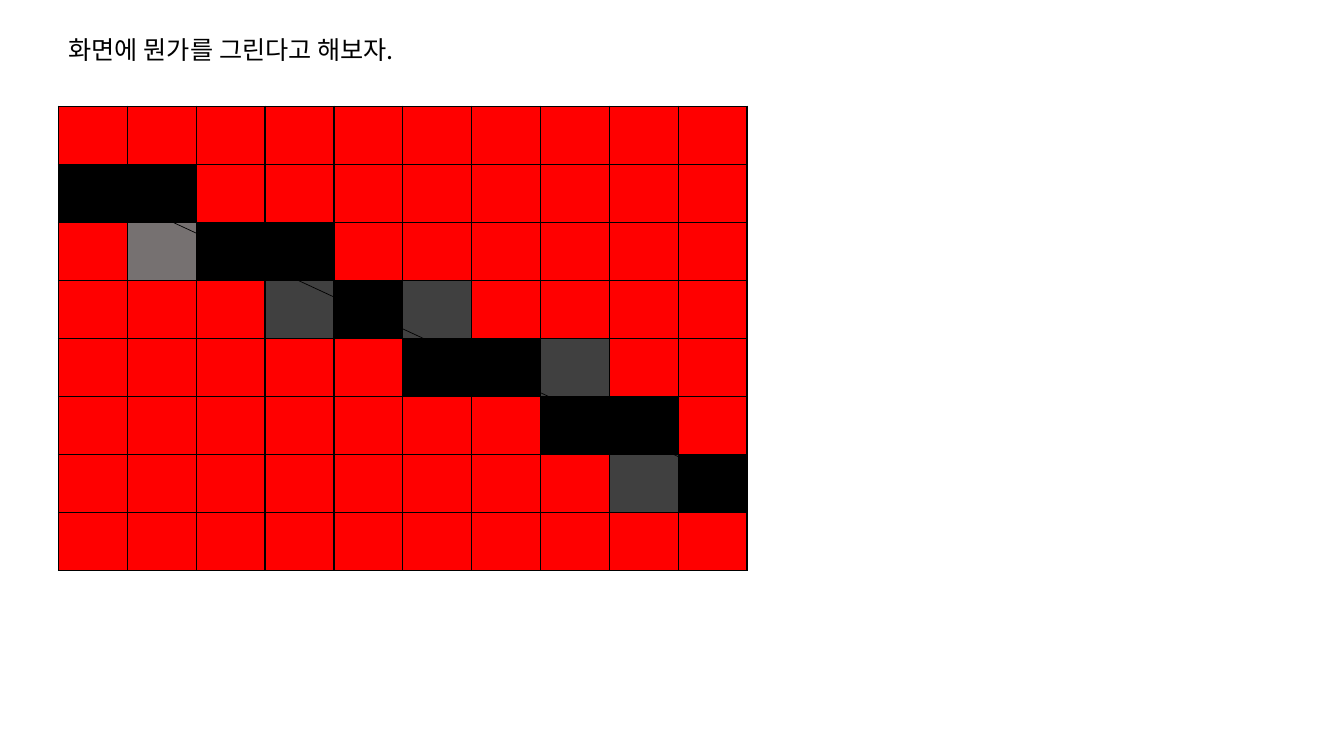
import pptx
import pptx.dml.color
import pptx.enum.shapes
import pptx.enum.text
import pptx.oxml
import pptx.oxml.ns
import pptx.util

Pt = pptx.util.Pt
RGBColor = pptx.dml.color.RGBColor

HEADING = "화면에 뭔가를 그린다고 해보자."
FONT = "Noto Sans CJK KR"
RED = RGBColor(0xFF, 0x00, 0x00)
BLACK = RGBColor(0x00, 0x00, 0x00)
DARK = RGBColor(0x40, 0x40, 0x40)
GRAY = RGBColor(0x76, 0x71, 0x71)

PIXELS = [
    "..........",
    "##........",
    ".g##......",
    "...d#d....",
    ".....##d..",
    ".......##.",
    "........d#",
    "..........",
]
PIXEL_COLORS = {".": RED, "#": BLACK, "d": DARK, "g": GRAY}

LEFT, GRID_TOP = 41.8, 75.8
PIXEL_WIDTH, PIXEL_HEIGHT = 49.2, 41.45
LINE_START, LINE_END = (71.3, 134.6), (523.4, 344.2)


def add_border(pixel):
    properties = pixel._tc.get_or_add_tcPr()
    for position, side in enumerate(("lnL", "lnR", "lnT", "lnB")):
        border = pptx.oxml.parse_xml(
            f'<a:{side} {pptx.oxml.ns.nsdecls("a")} w="{Pt(1)}">'
            f'<a:solidFill><a:srgbClr val="{BLACK}"/></a:solidFill></a:{side}>'
        )
        properties.insert(position, border)


def add_heading(slide):
    heading = slide.shapes.title
    heading.left, heading.top = Pt(LEFT), Pt(20.9)
    heading.width, heading.height = Pt(274.3), Pt(28.8)
    frame = heading.text_frame
    frame.word_wrap = False
    frame.auto_size = pptx.enum.text.MSO_AUTO_SIZE.SHAPE_TO_FIT_TEXT
    frame.vertical_anchor = pptx.enum.text.MSO_ANCHOR.TOP
    paragraph = frame.paragraphs[0]
    paragraph.alignment = pptx.enum.text.PP_ALIGN.LEFT
    run = paragraph.add_run()
    run.text = HEADING
    run.font.size = Pt(18)
    run.font.name = FONT
    run.font.color.rgb = BLACK
    run.font._element.append(pptx.oxml.parse_xml(
        f'<a:ea {pptx.oxml.ns.nsdecls("a")} typeface="{FONT}"/>'))


def add_screen(slide):
    rows, columns = len(PIXELS), len(PIXELS[0])
    screen = slide.shapes.add_table(
        rows, columns, Pt(LEFT), Pt(GRID_TOP),
        Pt(PIXEL_WIDTH * columns), Pt(PIXEL_HEIGHT * rows)).table
    screen.first_row = False
    screen.horz_banding = False
    for column in screen.columns:
        column.width = Pt(PIXEL_WIDTH)
    for row_index, pixel_row in enumerate(PIXELS):
        screen.rows[row_index].height = Pt(PIXEL_HEIGHT)
        for column_index, shade in enumerate(pixel_row):
            pixel = screen.cell(row_index, column_index)
            pixel.fill.solid()
            pixel.fill.fore_color.rgb = PIXEL_COLORS[shade]
            add_border(pixel)


def add_ideal_line(slide):
    ideal_line = slide.shapes.add_connector(
        pptx.enum.shapes.MSO_CONNECTOR.STRAIGHT,
        *(Pt(value) for value in LINE_START + LINE_END))
    ideal_line.line.color.rgb = BLACK
    ideal_line.line.width = Pt(0.5)
    ideal_line._element.spPr.append(pptx.oxml.parse_xml(
        f'<a:effectLst {pptx.oxml.ns.nsdecls("a")}/>'))


def main():
    presentation = pptx.Presentation()
    presentation.slide_width, presentation.slide_height = Pt(960), Pt(540)
    slide = presentation.slides.add_slide(presentation.slide_layouts[5])
    add_heading(slide)
    add_screen(slide)
    add_ideal_line(slide)
    presentation.save("out.pptx")


if __name__ == "__main__":
    main()
